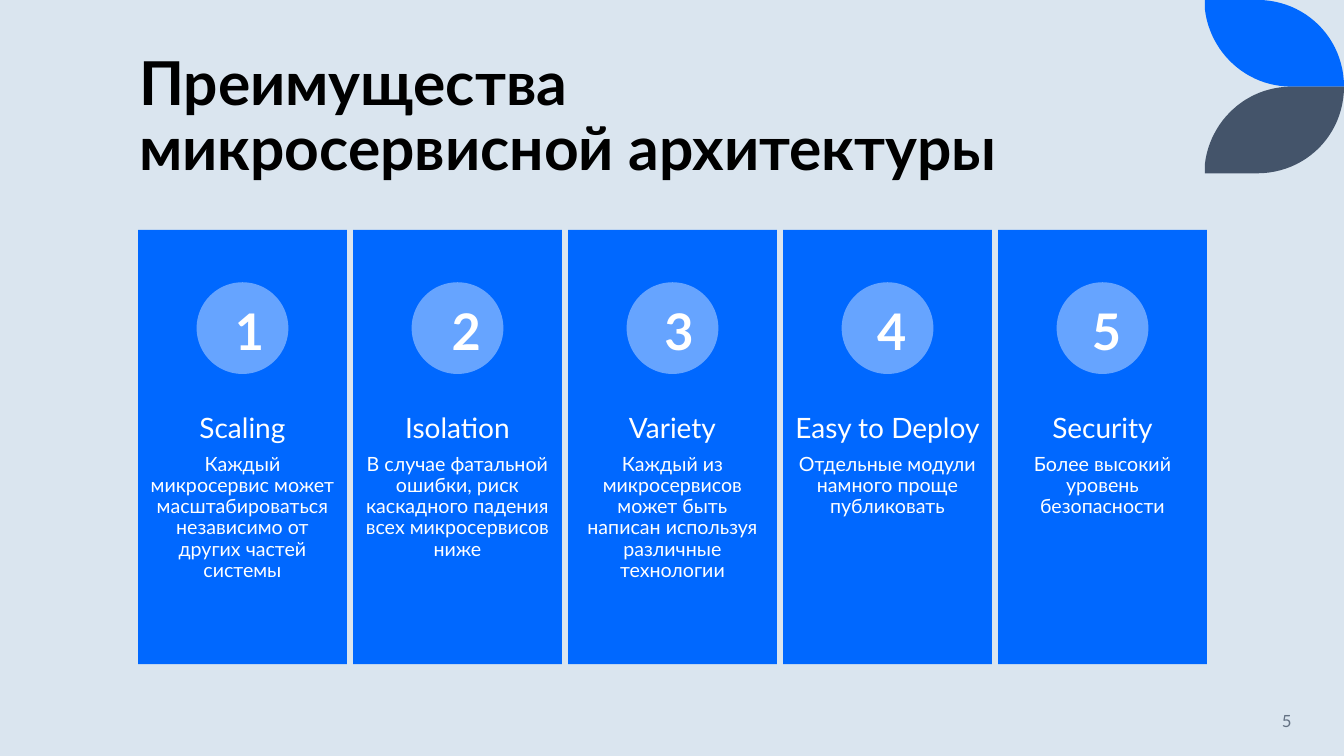
from dataclasses import dataclass

from pptx import Presentation
from pptx.dml.color import RGBColor
from pptx.enum import shapes, text
from pptx.util import Inches, Pt


@dataclass(frozen=True)
class Theme:
    font: str = "Lato"
    background: str = "DAE5EF"
    blue: str = "0068FF"
    light_blue: str = "66A4FF"
    slate: str = "44546A"
    grey: str = "637183"
    black: str = "000000"
    white: str = "FFFFFF"
    title_size: float = 43.2
    number_size: float = 36
    heading_size: float = 20
    body_size: float = 14
    page_size: float = 12


theme = Theme()


def write(paragraph, words, size, color, bold=False, align=text.PP_ALIGN.CENTER,
          line_spacing=1.0, space_after=0):
    paragraph.text = words
    paragraph.alignment = align
    paragraph.line_spacing = line_spacing
    paragraph.space_before = Pt(0)
    paragraph.space_after = Pt(space_after)
    for run in paragraph.runs:
        run.font.name = theme.font
        run.font.size = Pt(size)
        run.font.bold = bold
        run.font.color.rgb = RGBColor.from_string(color)


def paint(shape, color):
    shape.shadow.inherit = False
    shape.fill.solid()
    shape.fill.fore_color.rgb = RGBColor.from_string(color)
    shape.line.fill.background()


presentation = Presentation()
presentation.slide_width = Inches(13.33)
presentation.slide_height = Inches(7.5)
slide = presentation.slides.add_slide(presentation.slide_layouts[5])
slide.background.fill.solid()
slide.background.fill.fore_color.rgb = RGBColor.from_string(theme.background)

# Corner leaves: the lower one mirrors the upper one
leaf_height = 0.86
leaf_curves = [
    [(12.47, 0), (12.95, 0), (13.33, 0.38), (13.33, 0.86)],
    [(12.81, 0.86), (12.36, 0.86), (12, 0.52), (11.95, 0.09)],
]
steps = 24
leaf_points = []
for curve in leaf_curves:
    for step in range(steps + 1):
        t = step / steps
        weights = [(1 - t) ** 3, 3 * t * (1 - t) ** 2, 3 * t * t * (1 - t), t ** 3]
        leaf_points.append([sum(w * point[axis] for w, point in zip(weights, curve))
                            for axis in (0, 1)])
for color, mirrored in [(theme.blue, False), (theme.slate, True)]:
    outline = [(Inches(x), Inches(2 * leaf_height - y if mirrored else y))
               for x, y in [(11.95, 0), *leaf_points]]
    builder = slide.shapes.build_freeform(*outline[0], scale=1.0)
    builder.add_line_segments(outline[1:], close=True)
    paint(builder.convert_to_shape(), color)

# Title
title = slide.shapes.title
title.left, title.top = Inches(1.28), Inches(0.42)
title.width, title.height = Inches(10.69), Inches(1.45)
title.text_frame.word_wrap = True
title.text_frame.auto_size = text.MSO_AUTO_SIZE.NONE
title.text_frame.vertical_anchor = text.MSO_ANCHOR.BOTTOM
write(title.text_frame.paragraphs[0], "Преимущества \vмикросервисной архитектуры",
      theme.title_size, theme.black, bold=True, align=text.PP_ALIGN.LEFT, line_spacing=0.9)

# Benefit cards: heading, description, left edge of the number
benefits = [
    ("Scaling", "Каждый микросервис может масштабироваться независимо от других частей системы", 2.23),
    ("Isolation", "В случае фатальной ошибки, риск каскадного падения всех микросервисов ниже", 4.38),
    ("Variety", "Каждый из микросервисов может быть написан используя различные технологии", 6.49),
    ("Easy to Deploy", "Отдельные модули намного проще публиковать", 8.6),
    ("Security", "Более высокий уровень безопасности", 10.73),
]
first_left, last_left, card_width = 1.37, 9.9, 2.07
pitch = (last_left - first_left) / (len(benefits) - 1)
for index, (heading, description, number_left) in enumerate(benefits):
    left = first_left + index * pitch
    card = slide.shapes.add_shape(shapes.MSO_SHAPE.RECTANGLE, Inches(left), Inches(2.28),
                                  Inches(card_width), Inches(4.31))
    paint(card, theme.blue)

    caption = slide.shapes.add_textbox(Inches(left), Inches(4), Inches(card_width), Inches(1.72))
    frame = caption.text_frame
    frame.word_wrap = True
    frame.margin_left = frame.margin_right = Inches(0.11)
    frame.margin_top = frame.margin_bottom = Inches(0.11)
    write(frame.paragraphs[0], heading, theme.heading_size, theme.white,
          line_spacing=0.9, space_after=7)
    write(frame.add_paragraph(), description, theme.body_size, theme.white,
          line_spacing=0.9, space_after=2)

    circle = slide.shapes.add_shape(shapes.MSO_SHAPE.OVAL, Inches(left + 0.58), Inches(2.8),
                                    Inches(0.91), Inches(0.91))
    paint(circle, theme.light_blue)

    number = slide.shapes.add_textbox(Inches(number_left), Inches(2.93), Inches(0.38), Inches(0.71))
    number.text_frame.word_wrap = True
    write(number.text_frame.paragraphs[0], str(index + 1), theme.number_size, theme.white, bold=True)

# Page number
page = slide.shapes.add_textbox(Inches(11.1), Inches(6.95), Inches(1.81), Inches(0.4))
page.text_frame.word_wrap = True
page.text_frame.vertical_anchor = text.MSO_ANCHOR.MIDDLE
write(page.text_frame.paragraphs[0], "5", theme.page_size, theme.grey, align=text.PP_ALIGN.RIGHT)

presentation.save("out.pptx")
